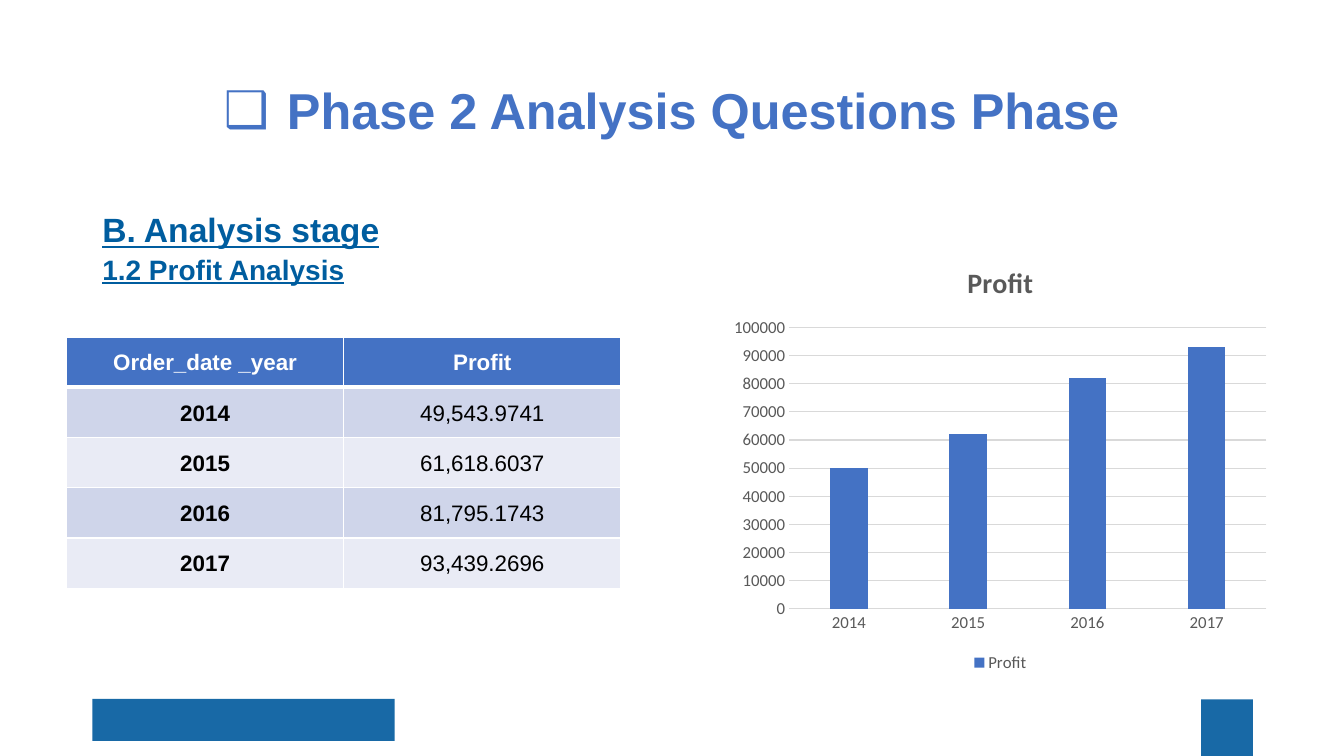
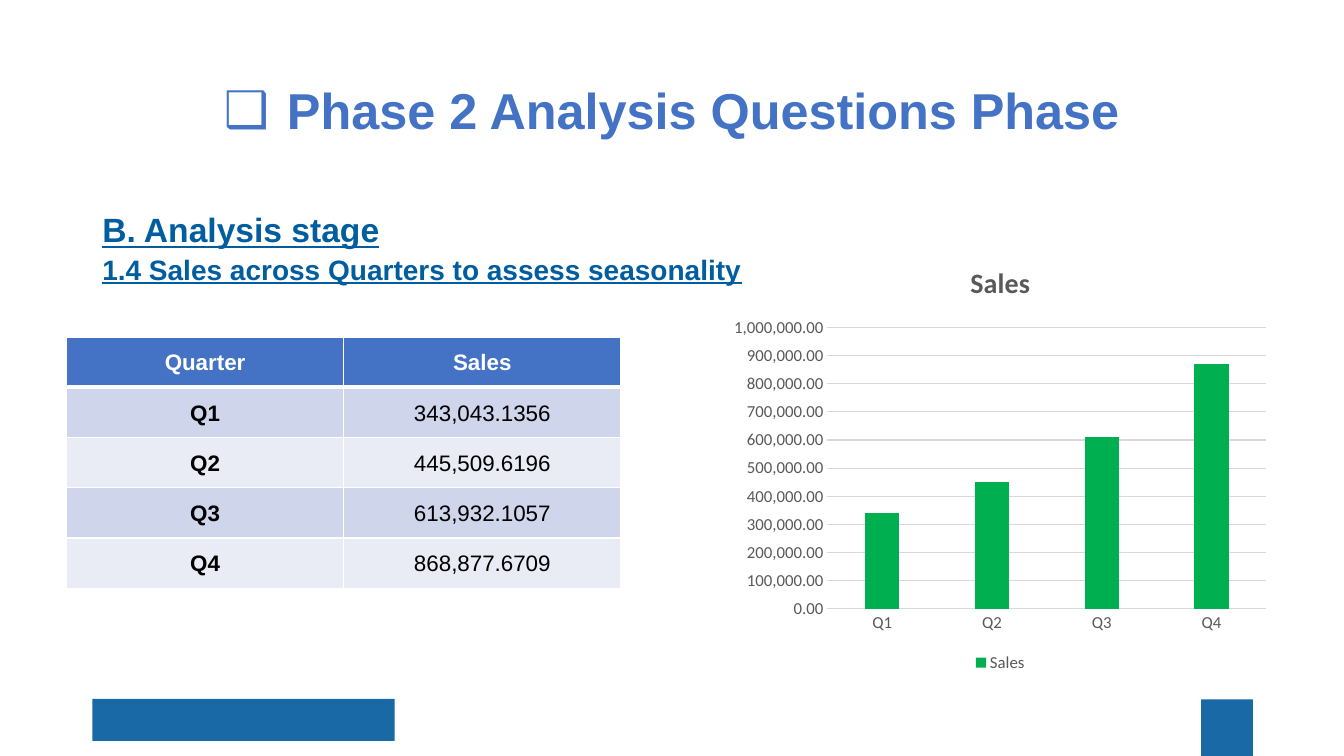
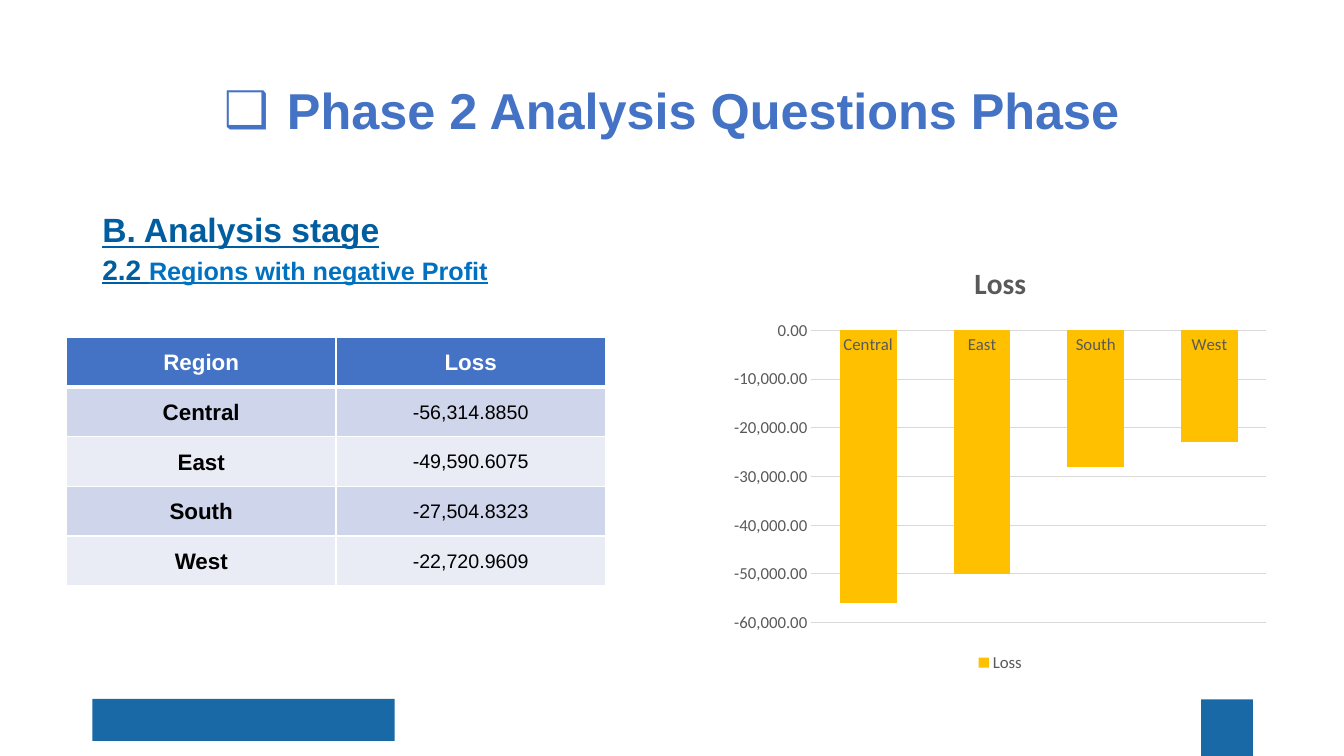
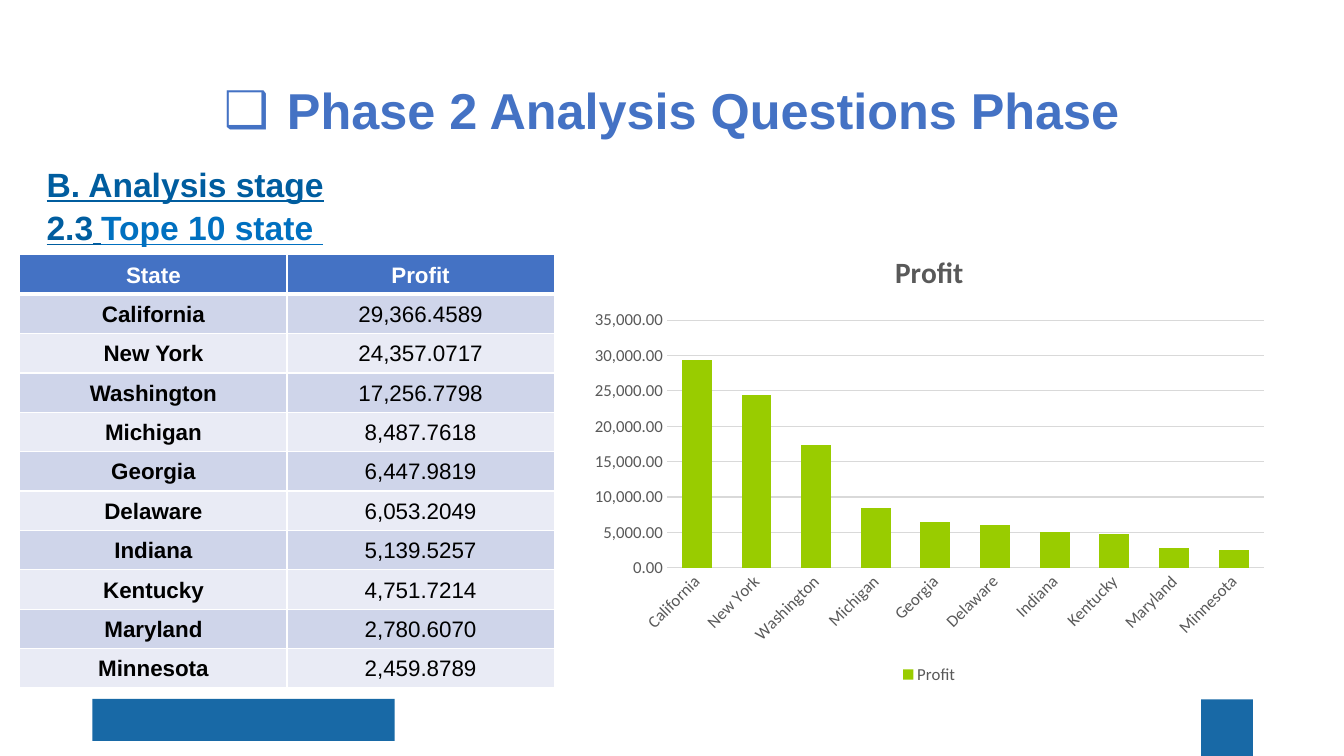
from lxml import etree
from pptx import Presentation
from pptx.chart.data import CategoryChartData
from pptx.dml.color import RGBColor
from pptx.enum.chart import XL_CHART_TYPE, XL_LEGEND_POSITION, XL_TICK_MARK
from pptx.enum.shapes import MSO_SHAPE
from pptx.enum.text import MSO_ANCHOR, PP_ALIGN
from pptx.oxml.ns import qn
from pptx.util import Pt

COLUMN = XL_CHART_TYPE.COLUMN_CLUSTERED
BOTTOM = XL_LEGEND_POSITION.BOTTOM
NO_TICK = XL_TICK_MARK.NONE
RECT = MSO_SHAPE.RECTANGLE
MIDDLE = MSO_ANCHOR.MIDDLE
CENTER = PP_ALIGN.CENTER

HEX = {
    "band": "1869A6", "title": "4472C4", "stage": "005D9F", "topic": "0070C0",
    "odd": "CFD5EA", "even": "E9EBF5", "white": "FFFFFF", "black": "000000",
    "gray": "595959", "grid": "D9D9D9",
    "blue": "4472C4", "green": "00B050", "gold": "FFC000", "lime": "99CC00",
}
RGB = {name: RGBColor.from_string(code) for name, code in HEX.items()}

TITLE = {"name": "Arial", "size": Pt(36), "bold": True, "color": "title"}
STAGE = {"name": "Arial", "size": Pt(24), "bold": True, "underline": True, "color": "stage"}
HEAD = {"name": "Arial", "size": Pt(16), "bold": True, "color": "white"}
LABEL = HEAD | {"color": "black"}
VALUE = LABEL | {"bold": False}
AXIS = {"name": "Calibri", "size": Pt(12), "bold": False, "color": "gray"}

BANDS = [(66, 499.2, 216, 30), (858, 499.5, 37, 66)]
MONEY = "#,##0.00"
BASE = {
    "body": (66, 144, 828, 343), "chart": (516.5, 173.8, 396, 309.6),
    "table": (47.5, 240.8, 396, 179.3), "step": 1000,
    "size": 16, "head": 20, "format": MONEY, "gap": 219, "lap": -27, "turn": 0,
}
LOSS = {"head": 21, "gap": 100, "lap": -24}

# Each topic is a list of (text, size, colour) runs; chart values are rounded to step.
PAGES = [
    BASE | {
        "topic": [("1.2 Profit Analysis", 20, "stage")],
        "names": ("Order_date _year", "Profit"), "color": "blue", "format": "0",
        "rows": [("2014", "49,543.9741"), ("2015", "61,618.6037"),
                 ("2016", "81,795.1743"), ("2017", "93,439.2696")],
    },
    BASE | {
        "topic": [("1.4 Sales across Quarters to assess seasonality", 20, "stage")],
        "names": ("Quarter", "Sales"), "color": "green", "step": 10000,
        "rows": [("Q1", "343,043.1356"), ("Q2", "445,509.6196"),
                 ("Q3", "613,932.1057"), ("Q4", "868,877.6709")],
    },
    BASE | LOSS | {
        "topic": [("2.2 ", 20, "stage"), ("Regions with negative Profit", 18, "topic")],
        "names": ("Region", "Loss"), "color": "gold", "size": 14,
        "table": (47.5, 240.8, 385, 177.6),
        "rows": [("Central", "-56,314.8850"), ("East", "-49,590.6075"),
                 ("South", "-27,504.8323"), ("West", "-22,720.9609")],
    },
    BASE | LOSS | {
        "topic": [("2.3", 24, "stage"), (" ", 20, "stage"), ("Tope 10 state ", 24, "topic")],
        "names": ("State", "Profit"), "color": "lime", "turn": -2700000, "step": 100,
        "body": (26.2, 111.6, 868, 375), "chart": (415, 165.8, 497.5, 326),
        "table": (14.2, 182, 381.6, 309.5),
        "rows": [("California", "29,366.4589"), ("New York", "24,357.0717"),
                 ("Washington", "17,256.7798"), ("Michigan", "8,487.7618"),
                 ("Georgia", "6,447.9819"), ("Delaware", "6,053.2049"),
                 ("Indiana", "5,139.5257"), ("Kentucky", "4,751.7214"),
                 ("Maryland", "2,780.6070"), ("Minnesota", "2,459.8789")],
    },
]


def style(font, look):
    for key, value in look.items():
        if key == "color":
            font.color.rgb = RGB[value]
        else:
            setattr(font, key, value)


def edge(cell, row):
    """Draw white cell borders, thick between the header and the first row."""
    props = cell._tc.get_or_add_tcPr()
    wide = {0: "lnB", 1: "lnT"}.get(row)
    for spot, side in enumerate(("lnL", "lnR", "lnT", "lnB")):
        line = etree.Element(qn(f"a:{side}"), w=str(Pt(3 if side == wide else 1)))
        fill = etree.SubElement(line, qn("a:solidFill"))
        etree.SubElement(fill, qn("a:srgbClr"), val=HEX["white"])
        props.insert(spot, line)


deck = Presentation()
deck.slide_width, deck.slide_height = Pt(960), Pt(540)

for page in PAGES:
    slide = deck.slides.add_slide(deck.slide_layouts[6])
    shapes = slide.shapes

    for box in BANDS:
        band = shapes.add_shape(RECT, *map(Pt, box))
        band.shadow.inherit = False
        band.fill.solid()
        band.fill.fore_color.rgb = RGB["band"]
        band.line.fill.background()

    # Title
    frame = shapes.add_textbox(Pt(66), Pt(29), Pt(828), Pt(104)).text_frame
    frame.word_wrap = True
    frame.vertical_anchor = MIDDLE
    para = frame.paragraphs[0]
    para.alignment = CENTER
    para.line_spacing = 0.9
    props = para._p.get_or_add_pPr()
    props.set("marL", str(Pt(45)))
    props.set("indent", str(Pt(-45)))
    etree.SubElement(props, qn("a:buFont"), typeface="Arial")
    etree.SubElement(props, qn("a:buChar"), char="❑")
    run = para.add_run()
    run.text = "Phase 2 Analysis Questions Phase"
    style(run.font, TITLE)

    # Stage and topic
    frame = shapes.add_textbox(*map(Pt, page["body"])).text_frame
    frame.word_wrap = True
    stage, topic = frame.paragraphs[0], frame.add_paragraph()
    for para, runs in ((stage, [("B. Analysis stage", 24, "stage")]), (topic, page["topic"])):
        para.line_spacing = 1.07
        for text, size, color in runs:
            run = para.add_run()
            run.text = text
            style(run.font, STAGE | {"size": Pt(size), "color": color})

    # Chart
    name, step = page["names"][1], page["step"]
    data = CategoryChartData(number_format=page["format"])
    data.categories = [label for label, _ in page["rows"]]
    sums = [float(value.replace(",", "")) for _, value in page["rows"]]
    data.add_series(name, [round(total / step) * step for total in sums])
    chart = shapes.add_chart(COLUMN, *map(Pt, page["chart"]), data).chart
    style(chart.font, AXIS)
    chart.has_title = True
    run = chart.chart_title.text_frame.paragraphs[0].add_run()
    run.text = name
    style(run.font, AXIS | {"size": Pt(page["head"]), "bold": True})
    chart.has_legend = True
    chart.legend.position = BOTTOM
    chart.legend.include_in_layout = False
    style(chart.legend.font, AXIS)

    plot = chart.plots[0]
    plot.gap_width, plot.overlap = page["gap"], page["lap"]
    plot.vary_by_categories = False
    bars = plot.series[0]
    bars.invert_if_negative = False
    bars.format.fill.solid()
    bars.format.fill.fore_color.rgb = RGB[page["color"]]

    cats, vals = chart.category_axis, chart.value_axis
    for axis in (cats, vals):
        axis.major_tick_mark = axis.minor_tick_mark = NO_TICK
        style(axis.tick_labels.font, AXIS)
    cats._element.txPr.find(qn("a:bodyPr")).set("rot", str(page["turn"]))
    vals.tick_labels.number_format = page["format"]
    vals.tick_labels.number_format_is_linked = False
    vals.format.line.fill.background()
    for line in (cats.format.line, vals.major_gridlines.format.line):
        line.color.rgb = RGB["grid"]
        line.width = Pt(0.75)

    # Table
    rows = [page["names"], *page["rows"]]
    left, top, width, height = page["table"]
    table = shapes.add_table(len(rows), 2, Pt(left), Pt(top), Pt(width), Pt(height)).table
    table.horz_banding = False
    for r, row in enumerate(rows):
        table.rows[r].height = Pt(round(height / len(rows), 2))
        fill = "title" if r == 0 else "odd" if r % 2 else "even"
        for c, text in enumerate(row):
            cell = table.cell(r, c)
            cell.margin_left = cell.margin_right = Pt(5)
            cell.margin_top = cell.margin_bottom = 0
            cell.vertical_anchor = MIDDLE
            cell.fill.solid()
            cell.fill.fore_color.rgb = RGB[fill]
            edge(cell, r)
            para = cell.text_frame.paragraphs[0]
            para.alignment = CENTER
            para.line_spacing = 1.07
            run = para.add_run()
            run.text = text
            look = HEAD if r == 0 else VALUE | {"size": Pt(page["size"])} if c else LABEL
            style(run.font, look)

deck.save("out.pptx")
